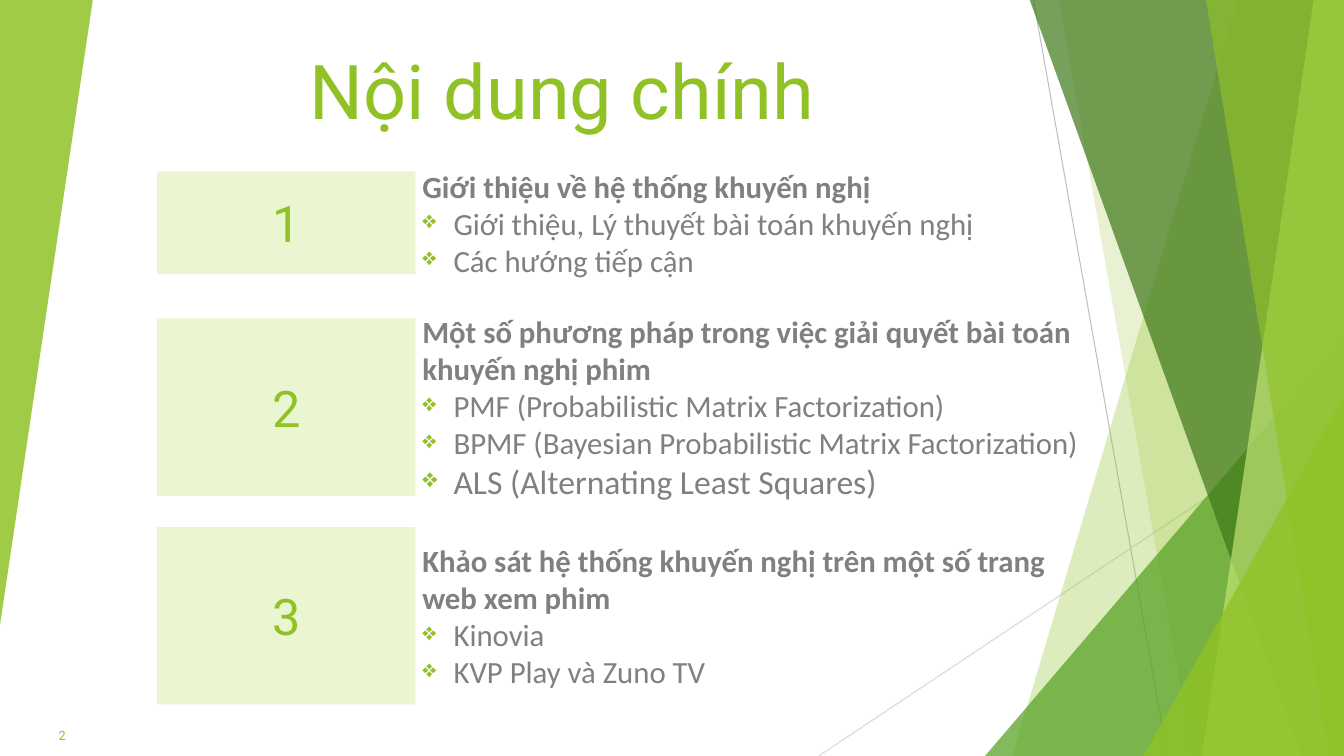
from dataclasses import dataclass

from lxml import etree
from pptx import Presentation
from pptx.dml.color import RGBColor
from pptx.enum import shapes, text
from pptx.oxml import ns
from pptx.util import Inches, Pt


@dataclass(frozen=True)
class Theme:
    """Colours, fonts and type sizes of the slide."""
    lime: str = "90C226"
    green: str = "54A021"
    forest: str = "3F7819"
    pale: str = "C0E474"
    tile: str = "EAF6D1"
    grey: str = "808080"
    rule_dark: str = "BFBFBF"
    rule_light: str = "D9D9D9"
    display: str = "Roboto"
    body: str = "Calibri"
    title_size: int = 54
    number_size: int = 36
    body_size: int = 22
    large_size: int = 24
    page_size: int = 9


T = Theme()
WIDTH, HEIGHT = 13.33, 7.5
CENTER, RIGHT = text.PP_ALIGN.CENTER, text.PP_ALIGN.RIGHT
TOP, MIDDLE = text.MSO_ANCHOR.TOP, text.MSO_ANCHOR.MIDDLE

# Top, height, heading and (item, size) pairs of each section
SECTIONS = [
    (1.7, 1.02, "Giới thiệu về hệ thống khuyến nghị",
     [("Giới thiệu, Lý thuyết bài toán khuyến nghị", T.body_size),
      ("Các hướng tiếp cận", T.body_size)]),
    (3.16, 1.76, "Một số phương pháp trong việc giải quyết bài toán khuyến nghị phim",
     [("PMF (Probabilistic Matrix Factorization)", T.body_size),
      ("BPMF (Bayesian Probabilistic Matrix Factorization)", T.body_size),
      ("ALS (Alternating Least Squares)", T.large_size)]),
    (5.23, 1.76, "Khảo sát hệ thống khuyến nghị trên một số trang web xem phim",
     [("Kinovia", T.body_size), ("KVP Play và Zuno TV", T.body_size)]),
]


def add_node(parent, tag, **attrs):
    """Append a DrawingML element."""
    return etree.SubElement(parent, ns.qn(tag), {k: str(v) for k, v in attrs.items()})


def paint(sp, color, alpha=100):
    """Give a shape a flat fill, without line or shadow."""
    sp.shadow.inherit = False
    sp.line.fill.background()
    sp.fill.solid()
    sp.fill.fore_color.rgb = RGBColor.from_string(color)
    if alpha < 100:
        clr = sp.fill._xPr.find(".//" + ns.qn("a:srgbClr"))
        add_node(clr, "a:alpha", val=alpha * 1000)


def add_run(p, words, font, size, color, bold=False):
    """Add one styled run to a paragraph."""
    r = p.add_run()
    r.text = words
    r.font.name, r.font.size, r.font.bold = font, Pt(size), bold
    r.font.color.rgb = RGBColor.from_string(color)


def setup_frame(sp, anchor, inset=(0.1, 0.1)):
    """Set wrapping, anchor and insets; return the text frame."""
    tf = sp.text_frame
    tf.word_wrap, tf.vertical_anchor = True, anchor
    tf.margin_left = tf.margin_right = Inches(inset[0])
    tf.margin_top = tf.margin_bottom = Inches(inset[1])
    return tf


def add_label(s, box, words, size, align, anchor, inset=(0.1, 0.1)):
    """Place a one-line display text in its box."""
    sp = s.shapes.add_textbox(*map(Inches, box))
    p = setup_frame(sp, anchor, inset).paragraphs[0]
    p.alignment = align
    add_run(p, words, T.display, size, T.lime)


def add_rule(s, start, end, color):
    """Draw a thin straight line."""
    cx = s.shapes.add_connector(shapes.MSO_CONNECTOR.STRAIGHT,
                                *map(Inches, (*start, *end)))
    cx.line.width = Pt(0.75)
    cx.line.color.rgb = RGBColor.from_string(color)
    add_node(cx._element.spPr, "a:effectLst")


def add_band(s, box, top_x, bottom_x, color, alpha):
    """Draw a full-height band from a slanted left edge to the box's right side."""
    left, top, width, height = box
    right, bottom = left + width, top + height
    points = [(left + top_x, top), (right, top), (right, bottom),
              (left + bottom_x, bottom)]
    points = [(Inches(x), Inches(y)) for x, y in points]
    fb = s.shapes.build_freeform(*points[0], scale=1.0)
    fb.add_line_segments(points[1:], close=True)
    paint(fb.convert_to_shape(), color, alpha)


def add_wedge(s, box, color, alpha, rotation=0):
    """Draw a right-angled triangle."""
    sp = s.shapes.add_shape(shapes.MSO_SHAPE.ISOSCELES_TRIANGLE, *map(Inches, box))
    sp.adjustments[0] = 1.0
    sp.rotation = rotation
    paint(sp, color, alpha)


def add_facets(s, box):
    """Draw the overlapping green facets and lines on both sides of the box."""
    left, top, width, height = box
    right, bottom = left + width, top + height

    def band(top_x, bottom_x, color, alpha):
        add_band(s, (left, top - 0.01, width, height + 0.01), top_x, bottom_x, color, alpha)

    def corner(w, h, color, alpha):
        add_wedge(s, (right - w, bottom - h, w, h), color, alpha)

    add_rule(s, (left + 10.25, top), (left + 11.58, bottom), T.rule_dark)
    add_rule(s, (right, top + 4.03), (left + 8.12, bottom), T.rule_light)
    band(12.28, 10.04, T.lime, 30)
    band(10.5, 11.83, T.lime, 20)
    corner(3.56, 4.17, T.green, 72)
    band(10.21, 12.91, T.forest, 70)
    band(13.03, 11.92, T.pale, 70)
    band(11.96, 13.18, T.lime, 65)
    corner(1.99, 3.57, T.lime, 80)
    add_wedge(s, (left, top, 0.92, 6.2), T.lime, 85, rotation=180)


def add_bullet(p):
    """Give a paragraph a hanging diamond bullet."""
    pPr = p._p.get_or_add_pPr()
    pPr.set("marL", str(Inches(0.31)))
    pPr.set("indent", str(-Inches(0.31)))
    add_node(add_node(pPr, "a:buClr"), "a:srgbClr", val=T.lime)
    add_node(pPr, "a:buSzPct", val=80000)
    add_node(pPr, "a:buChar", char="❖")


def add_section(s, box, number, heading, items):
    """Place a numbered tile with its heading and bulleted items beside it."""
    left, top, width, height = box
    tile_box = (left, top, 2.56, height)
    tile = s.shapes.add_shape(shapes.MSO_SHAPE.RECTANGLE, *map(Inches, tile_box))
    paint(tile, T.tile)
    p = setup_frame(tile, MIDDLE).paragraphs[0]
    p.alignment = CENTER
    add_run(p, str(number), T.display, T.number_size, T.lime)

    text_box = (left + 2.53, top, width - 2.53, height)
    tf = setup_frame(s.shapes.add_textbox(*map(Inches, text_box)), MIDDLE)
    add_run(tf.paragraphs[0], heading, T.body, T.body_size, T.grey, bold=True)
    for words, size in items:
        p = tf.add_paragraph()
        add_bullet(p)
        add_run(p, words, T.body, size, T.grey)


def main():
    """Build the agenda slide."""
    prs = Presentation()
    prs.slide_width, prs.slide_height = Inches(WIDTH), Inches(HEIGHT)
    s = prs.slides.add_slide(prs.slide_layouts[6])
    add_facets(s, (0, 0, WIDTH, HEIGHT))
    for number, (top, height, heading, items) in enumerate(SECTIONS, 1):
        add_section(s, (1.56, top, 9.34, height), number, heading, items)
    add_label(s, (1.56, 0.34, 8.03, 1.02), "Nội dung chính", T.title_size, CENTER, TOP)
    add_label(s, (0, 7.1, 0.75, 0.4), "2", T.page_size, RIGHT, MIDDLE, (0.1, 0.05))
    prs.save("out.pptx")


main()
